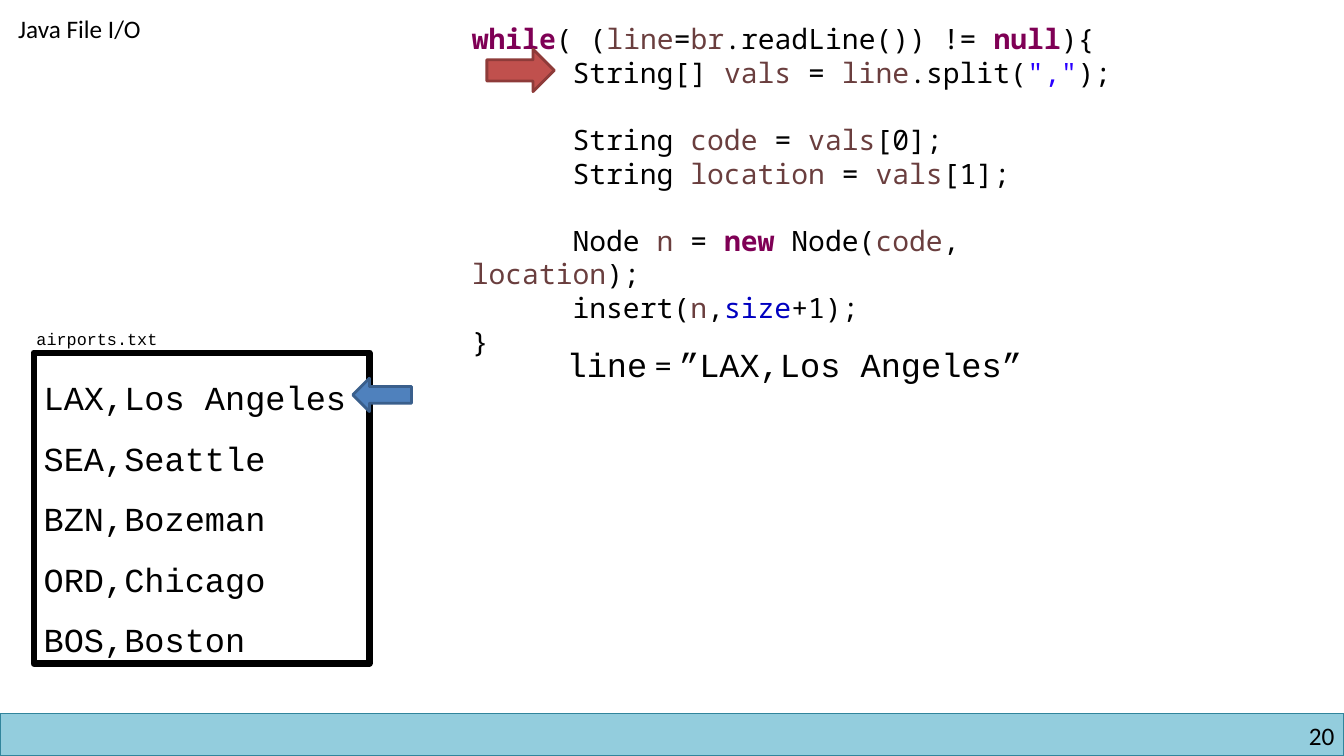
from lxml import etree
from pptx import Presentation
from pptx.dml.color import RGBColor
from pptx.enum.shapes import MSO_SHAPE
from pptx.enum.text import MSO_ANCHOR, MSO_AUTO_SIZE, PP_ALIGN
from pptx.oxml.ns import qn
from pptx.util import Cm, Pt

RECTANGLE = MSO_SHAPE.RECTANGLE
RIGHT_ARROW = MSO_SHAPE.RIGHT_ARROW
MIDDLE = MSO_ANCHOR.MIDDLE
FIT_SHAPE = MSO_AUTO_SIZE.SHAPE_TO_FIT_TEXT
LEFT, RIGHT = PP_ALIGN.LEFT, PP_ALIGN.RIGHT

BLACK = "000000"
KEYWORD = "7F0055"
VARIABLE = "6A3E3E"
STRING = "2A00FF"
FIELD = "0000C0"


def color(hex_string):
    return RGBColor.from_string(hex_string)


def add_block(kind, left, top, width, height, fill, line, line_width):
    block = slide.shapes.add_shape(kind, Cm(left), Cm(top), Cm(width), Cm(height))
    block.shadow.inherit = False
    block.fill.solid()
    block.fill.fore_color.rgb = color(fill)
    block.line.color.rgb = color(line)
    block.line.width = Pt(line_width)
    return block


prs = Presentation()
prs.slide_width, prs.slide_height = Cm(33.87), Cm(19.05)
slide = prs.slides.add_slide(prs.slide_layouts[6])

add_block(RECTANGLE, 0, 17.98, 33.87, 1.07, "93CDDD", "31859C", 1)

page_number = slide.shapes.add_textbox(Cm(25.83), Cm(18.16), Cm(7.8), Cm(0.76)).text_frame
page_number.margin_left = page_number.margin_right = 0
page_number.margin_top = page_number.margin_bottom = 0
page_number.word_wrap = True
page_number.text = "20"
page_number.paragraphs[0].alignment = RIGHT
page_number.paragraphs[0].font.size = Pt(18)
page_number.paragraphs[0].font.name = "Calibri"
page_number.paragraphs[0].font.color.rgb = color(BLACK)

airports = add_block(RECTANGLE, 0.85, 8.89, 8.46, 7.83, "FFFFFF", BLACK, 4.5).text_frame
airports.vertical_anchor = MIDDLE
airports.word_wrap = True
airports.text = "LAX,Los Angeles\nSEA,Seattle\nBZN,Bozeman\nORD,Chicago\nBOS,Boston"
for airport in airports.paragraphs:
    airport.alignment = LEFT
    airport.line_spacing = 1.5
    airport.font.size = Pt(24)
    airport.font.name = "Courier New"
    airport.font.color.rgb = color(BLACK)

labels = [
    (0.21, 0.2, 4.11, 1.02, 18, [("Java File I/O", "Calibri")]),
    (0.67, 8.15, 3.61, 0.76, 12, [("airports.txt", "Courier New")]),
    (14.03, 8.55, 12.24, 1.27, 24, [
        ("line", "Courier New"), (" = ", "Calibri"), ("”LAX,Los Angeles”", "Courier New")]),
]
for left, top, width, height, size, pieces in labels:
    label = slide.shapes.add_textbox(Cm(left), Cm(top), Cm(width), Cm(height)).text_frame
    label.word_wrap = False
    label.auto_size = FIT_SHAPE
    caption = label.paragraphs[0]
    caption.font.size = Pt(size)
    caption.font.color.rgb = color(BLACK)
    for text, font_name in pieces:
        piece = caption.add_run()
        piece.text = text
        piece.font.name = font_name

code_lines = [
    (0, [("while", KEYWORD), ("( (", BLACK), ("line", VARIABLE), ("=", BLACK),
         ("br", VARIABLE), (".readLine()) != ", BLACK), ("null", KEYWORD), ("){", BLACK)]),
    (0, [("\tString[] ", BLACK), ("vals", VARIABLE), (" = ", BLACK), ("line", VARIABLE),
         (".split(", BLACK), ('","', STRING), (");", BLACK)]),
    (24, [("\tString ", BLACK), ("code", VARIABLE), (" = ", BLACK),
          ("vals", VARIABLE), ("[0];", BLACK)]),
    (0, [("\tString ", BLACK), ("location", VARIABLE), (" = ", BLACK),
         ("vals", VARIABLE), ("[1];", BLACK)]),
    (24, [("\tNode ", BLACK), ("n", VARIABLE), (" = ", BLACK), ("new", KEYWORD),
          (" Node(", BLACK), ("code", VARIABLE), (", ", BLACK),
          ("location", VARIABLE), (");", BLACK)]),
    (0, [("\tinsert(", BLACK), ("n", VARIABLE), (",", BLACK),
         ("size", FIELD), ("+1);", BLACK)]),
    (0, [("}", BLACK)]),
]
code = slide.shapes.add_textbox(Cm(11.64), Cm(0.42), Cm(16.99), Cm(7.95)).text_frame
code.word_wrap = True
for index, (gap, tokens) in enumerate(code_lines):
    code_line = code.add_paragraph() if index else code.paragraphs[0]
    tab_stops = etree.SubElement(code_line._p.get_or_add_pPr(), qn("a:tabLst"))
    etree.SubElement(tab_stops, qn("a:tab"), pos=str(Cm(2.54)), algn="l")
    if gap:
        code_line.space_before = Pt(gap)
    code_line.font.size = Pt(20)
    code_line.font.name = "Noto Sans Mono"
    for text, token_color in tokens:
        token = code_line.add_run()
        token.text = text
        token.font.color.rgb = color(token_color)
        token.font.bold = token_color == KEYWORD

add_block(RIGHT_ARROW, 12.27, 1.24, 1.7, 1.07, "C0504D", "8E3B39", 2)
file_pointer = add_block(RIGHT_ARROW, 8.89, 9.53, 1.48, 0.84, "4F81BD", "3A5F8C", 2)
file_pointer.rotation = 180

prs.save("out.pptx")
